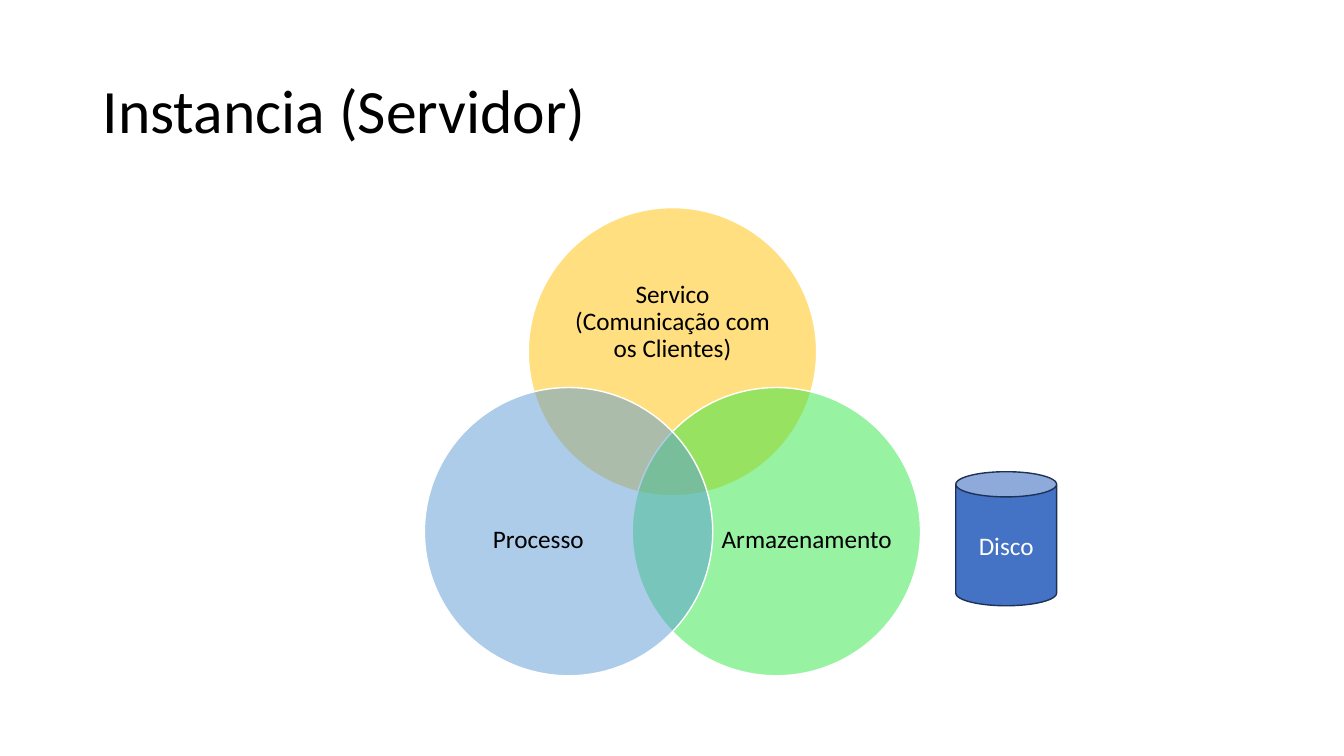
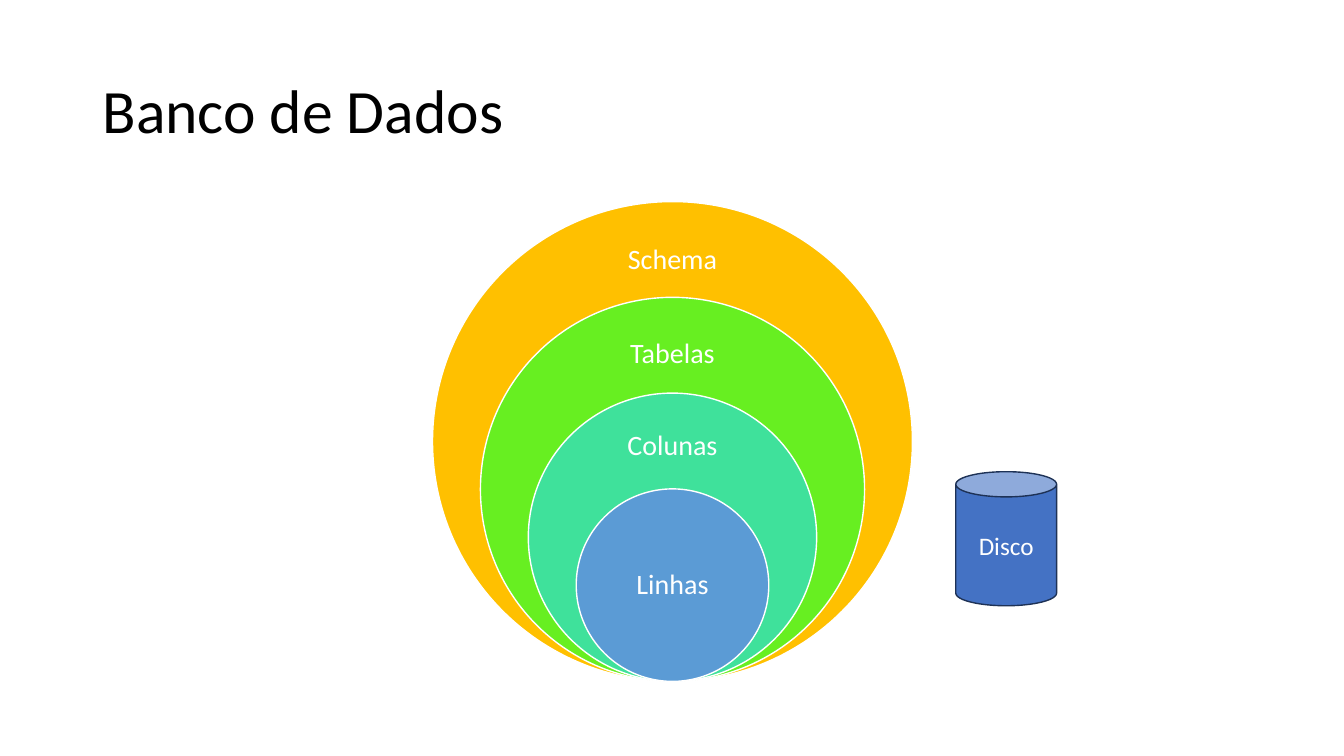
from math import cos, radians, sin

from lxml import etree
from pptx import Presentation
from pptx.dml.color import RGBColor
from pptx.enum.shapes import MSO_SHAPE
from pptx.enum.text import MSO_ANCHOR, PP_ALIGN
from pptx.oxml.ns import qn
from pptx.util import Inches, Pt

OVAL, CAN = MSO_SHAPE.OVAL, MSO_SHAPE.CAN
LEFT, CENTER = PP_ALIGN.LEFT, PP_ALIGN.CENTER
MIDDLE = MSO_ANCHOR.MIDDLE

FONT = "Calibri"
COLORS = {
    "black": "000000", "white": "FFFFFF", "amber": "FFC000", "green": "30E845",
    "blue": "5B9BD5", "lime": "67EF21", "mint": "3FE19B",
    "disk": "4472C4", "disk_line": "1E3256",
}

CENTER_X = 6.67

# angle on the ring, colour, label, label offset from circle centre, label size
VENN = [
    (-90, "amber", "Servico (Comunicação com os Clientes)", (0, -0.29), (2.09, 1.28)),
    (30, "green", "Armazenamento", (0.3, 0.09), (1.71, 1.57)),
    (150, "blue", "Processo", (-0.3, 0.09), (1.71, 1.57)),
]
VENN_Y, VENN_RING, VENN_DIAMETER = 4.68, 1.19, 2.86

# colour, label, label centre height
NESTED = [
    ("amber", "Schema", 2.58),
    ("lime", "Tabelas", 3.52),
    ("mint", "Colunas", 4.43),
    ("blue", "Linhas", 5.81),
]
NESTED_BOTTOM, NESTED_DIAMETER, NESTED_STEP = 6.76, 4.76, 0.95


def rgb(name):
    return RGBColor.from_string(COLORS[name])


def write(shape, text, size, color, align=CENTER, spacing=0.9):
    tf = shape.text_frame
    tf.word_wrap, tf.vertical_anchor = True, MIDDLE
    p = tf.paragraphs[0]
    p.alignment, p.line_spacing = align, spacing
    r = p.add_run()
    r.text = text
    for key, value in {"name": FONT, "size": Pt(size)}.items():
        setattr(r.font, key, value)
    r.font.color.rgb = rgb(color)


def add_label(s, cx, cy, w, h, text, size, color):
    """Place a centred text box without insets around the point (cx, cy)."""
    box = s.shapes.add_textbox(*map(Inches, (cx - w / 2, cy - h / 2, w, h)))
    for side in ("left", "top", "right", "bottom"):
        setattr(box.text_frame, f"margin_{side}", 0)
    write(box, text, size, color)


def add_figure(s, kind, x, y, w, h, fill, line, opacity=100):
    sp = s.shapes.add_shape(kind, *map(Inches, (x, y, w, h)))
    sp.shadow.inherit = False
    sp.fill.solid()
    sp.fill.fore_color.rgb = rgb(fill)
    sp.line.color.rgb = rgb(line)
    sp.line.width = Pt(1)
    if opacity < 100:
        color = sp.fill._xPr.find(qn("a:solidFill"))[0]
        etree.SubElement(color, qn("a:alpha")).set("val", str(opacity * 1000))
    return sp


def add_circle(s, cx, cy, d, fill, opacity=100):
    add_figure(s, OVAL, cx - d / 2, cy - d / 2, d, d, fill, "white", opacity)


def add_base(prs, title):
    """Start a slide with its title and the disk."""
    s = prs.slides.add_slide(prs.slide_layouts[6])
    box = s.shapes.add_textbox(*map(Inches, (0.92, 0.4, 11.5, 1.45)))
    write(box, title, 44, "black", LEFT)
    disk = add_figure(s, CAN, 9.48, 4.68, 1, 1.33, "disk", "disk_line")
    write(disk, "Disco", 18, "white", spacing=1.0)
    return s


def add_venn(s):
    for angle, fill, text, (dx, dy), (w, h) in VENN:
        cx = CENTER_X + VENN_RING * cos(radians(angle))
        cy = VENN_Y + VENN_RING * sin(radians(angle))
        add_circle(s, cx, cy, VENN_DIAMETER, fill, opacity=50)
        add_label(s, cx + dx, cy + dy, w, h, text, 18, "black")


def add_nested(s):
    for i, (fill, text, label_y) in enumerate(NESTED):
        d = NESTED_DIAMETER - i * NESTED_STEP
        add_circle(s, CENTER_X, NESTED_BOTTOM - d / 2, d, fill)
        add_label(s, CENTER_X, label_y, 1.33, 0.7, text, 20, "white")


def main():
    prs = Presentation()
    prs.slide_width, prs.slide_height = Inches(13.33), Inches(7.5)
    add_venn(add_base(prs, "Instancia (Servidor)"))
    add_nested(add_base(prs, "Banco de Dados"))
    prs.save("out.pptx")


if __name__ == "__main__":
    main()
